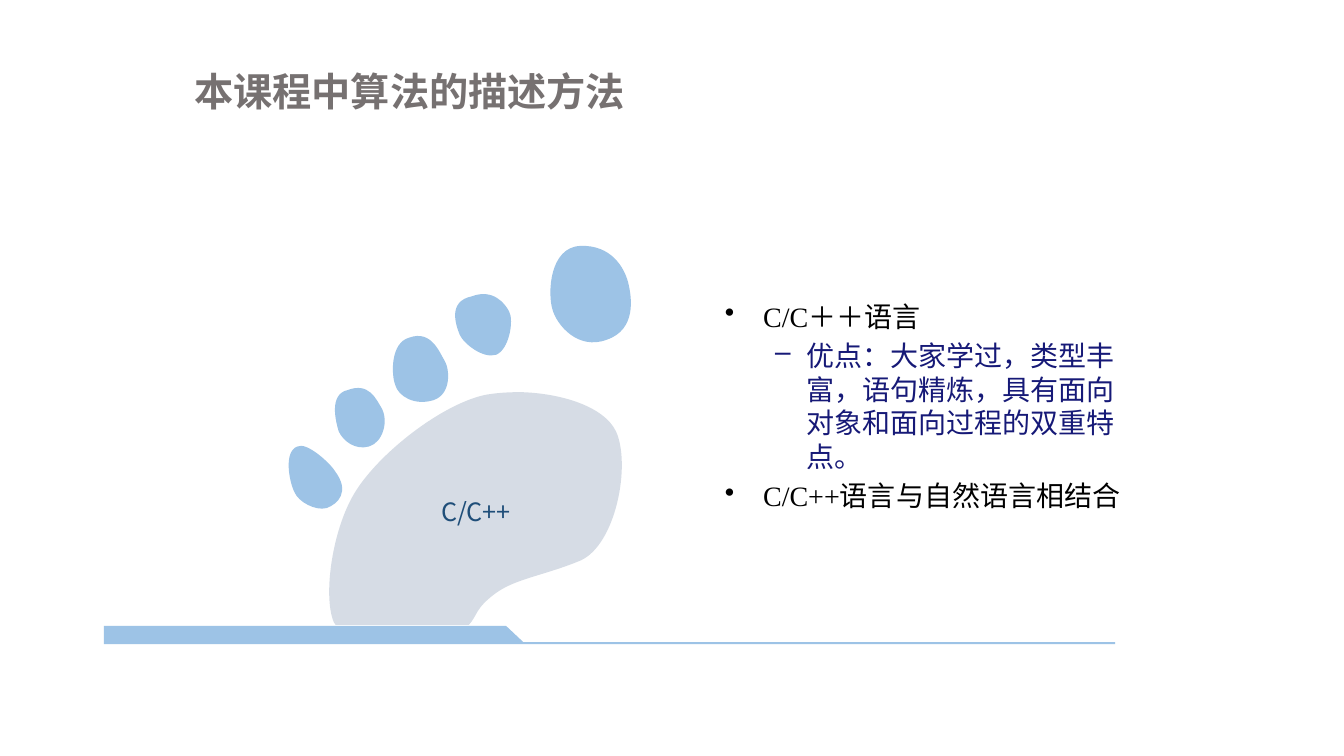
from math import cos, radians, sin

from lxml.etree import SubElement
from pptx import Presentation
from pptx.dml.color import RGBColor
from pptx.enum.text import MSO_ANCHOR as ANCHOR, PP_ALIGN as ALIGN
from pptx.oxml.ns import qn
from pptx.util import Inches, Pt

W, H = 13.33, 7.5
SANS, SERIF = "Noto Sans CJK SC", "Times New Roman"
BLUE, GREY = "9DC3E6", "D6DCE5"
TITLE = "本课程中算法的描述方法"
FOOT_LABEL = "C/C++"
BULLETS = [
    ("C/C＋＋语言", 0),
    ("优点：大家学过，类型丰富，语句精炼，具有面向对象和面向过程的双重特点。", 1),
    ("C/C++语言与自然语言相结合", 0),
]
LEVELS = [("•", 0.38, 0.38, "000000"), ("–", 0.81, 0.31, "161977")]

TOES = [
    ((5.45, 2.45, 0.83, 0.94), 10.4,
     [(5.76, 2.44), (5.45, 2.45, 5.43, 2.91, 5.48, 3.07), (5.52, 3.22, 5.73, 3.48, 6.02, 3.37),
      (6.31, 3.27, 6.27, 2.96, 6.23, 2.8), (6.19, 2.65, 6.06, 2.43, 5.76, 2.44)]),
    ((4.51, 2.92, 0.56, 0.61), 0,
     [(4.68, 2.94), (4.44, 2.99, 4.52, 3.22, 4.56, 3.32), (4.6, 3.41, 4.79, 3.56, 4.92, 3.52),
      (5.05, 3.47, 5.1, 3.18, 5.05, 3.09), (5.01, 3.01, 4.89, 2.86, 4.68, 2.94)]),
    ((3.89, 3.33, 0.55, 0.66), 0,
     [(4.06, 3.35), (3.87, 3.4, 3.88, 3.72, 3.92, 3.82), (3.95, 3.93, 4.11, 4.03, 4.3, 3.97),
      (4.48, 3.91, 4.46, 3.66, 4.41, 3.58), (4.36, 3.5, 4.28, 3.27, 4.06, 3.35)]),
    ((3.32, 3.85, 0.5, 0.6), 0,
     [(3.45, 3.87), (3.26, 3.91, 3.33, 4.18, 3.36, 4.28), (3.4, 4.37, 3.52, 4.47, 3.66, 4.43),
      (3.8, 4.39, 3.86, 4.17, 3.78, 4.04), (3.73, 3.96, 3.66, 3.79, 3.45, 3.87)]),
    ((2.86, 4.42, 0.53, 0.62), 0,
     [(2.95, 4.43), (2.81, 4.48, 2.87, 4.78, 2.92, 4.88), (2.96, 4.98, 3.13, 5.07, 3.24, 5.04),
      (3.35, 5, 3.48, 4.88, 3.32, 4.67), (3.27, 4.59, 3.04, 4.38, 2.95, 4.43)]),
]
GROUND = ((1.03, 6.21, 10.02, 0.19), 0,
          [(1.03, 6.21), (5.02, 6.21), (5.19, 6.37), (11.06, 6.37), (11.06, 6.39),
           (5.21, 6.39), (5.11, 6.39), (1.03, 6.39)])
SOLE = ((3.27, 3.89, 2.9, 2.31), 0,
        [(5.16, 3.89), (5.56, 3.9, 5.99, 4.03, 6.11, 4.28), (6.26, 4.61, 6.11, 5.4, 5.76, 5.56),
         (5.4, 5.71, 5.11, 5.74, 4.91, 5.89), (4.71, 6.04, 4.74, 6.1, 4.65, 6.2), (4.57, 6.2),
         (3.33, 6.2), (3.31, 6.17), (3.2, 5.9, 3.3, 5.23, 3.53, 4.87),
         (3.77, 4.49, 4.37, 4.02, 4.8, 3.92), (4.9, 3.9, 5.03, 3.89, 5.16, 3.89)])


def rgb(value):
    return RGBColor.from_string(value)


def to_local(x, y, box, angle):
    left, top, w, h = box
    dx, dy = x - left - w / 2, y - top - h / 2
    c, n = cos(radians(angle)), sin(radians(angle))
    return Inches(w / 2 + dx * c + dy * n), Inches(h / 2 - dx * n + dy * c)


def add_outline(s, box, angle, parts, color):
    local = [[to_local(x, y, box, angle) for x, y in zip(part[::2], part[1::2])] for part in parts]
    builder = s.shapes.build_freeform(*local[0][0])
    builder.add_line_segments([points[-1] for points in local[1:]], close=True)
    sp = builder.convert_to_shape()
    sp.left, sp.top, sp.width, sp.height = map(Inches, box)
    sp.rotation = angle
    outline = next(sp._element.iter(qn("a:path")))
    outline.set("w", str(sp.width))
    outline.set("h", str(sp.height))
    for step, points in zip(list(outline), local):
        for pt in list(step):
            step.remove(pt)
        if len(points) == 3:
            curve = SubElement(outline, qn("a:cubicBezTo"))
            outline.replace(step, curve)
            step = curve
        for x, y in points:
            pt = SubElement(step, qn("a:pt"))
            pt.set("x", str(x))
            pt.set("y", str(y))
    sp.shadow.inherit = False
    sp.fill.solid()
    sp.fill.fore_color.rgb = rgb(color)
    sp.line.fill.background()
    return sp


def add_box(s, x, y, w, h):
    tf = s.shapes.add_textbox(Inches(x), Inches(y), Inches(w), Inches(h)).text_frame
    tf.word_wrap = True
    return tf


def write(p, text, size, color, font=SANS, bold=False, align=ALIGN.LEFT, spacing=None):
    p.alignment = align
    p.line_spacing = spacing or Pt(size * 1.2)
    r = p.add_run()
    r.text = text
    r.font.size, r.font.bold, r.font.name = Pt(size), bold, font
    r.font.color.rgb = rgb(color)
    SubElement(r.font._element, qn("a:ea")).set("typeface", SANS)


def add_bullet(p, char, left, hang):
    pPr = p._p.get_or_add_pPr()
    pPr.set("marL", str(Inches(left)))
    pPr.set("indent", str(-Inches(hang)))
    SubElement(pPr, qn("a:buChar")).set("char", char)


def main():
    prs = Presentation()
    prs.slide_width, prs.slide_height = Inches(W), Inches(H)
    s = prs.slides.add_slide(prs.slide_layouts[6])

    for box, angle, parts in TOES + [GROUND]:
        add_outline(s, box, angle, parts, BLUE)

    tf = add_box(s, 7.09, 2.04, 4.27, 3.97)
    tf.vertical_anchor = ANCHOR.MIDDLE
    tf.margin_top = tf.margin_bottom = 0
    for i, (text, level) in enumerate(BULLETS):
        char, left, hang, color = LEVELS[level]
        p = tf.add_paragraph() if i else tf.paragraphs[0]
        p.level = level
        add_bullet(p, char, left, hang)
        p.space_before = Pt(4 if i else 0)
        write(p, text, 20, color, font=SERIF)

    tf = add_outline(s, *SOLE, GREY).text_frame
    tf.vertical_anchor = ANCHOR.MIDDLE
    write(tf.paragraphs[0], FOOT_LABEL, 18, "1F4E79", align=ALIGN.CENTER, spacing=1.2)

    tf = add_box(s, 1.83, 0.62, 4.76, 0.57)
    write(tf.paragraphs[0], TITLE, 28, "767171", bold=True)

    prs.save("out.pptx")


if __name__ == "__main__":
    main()
